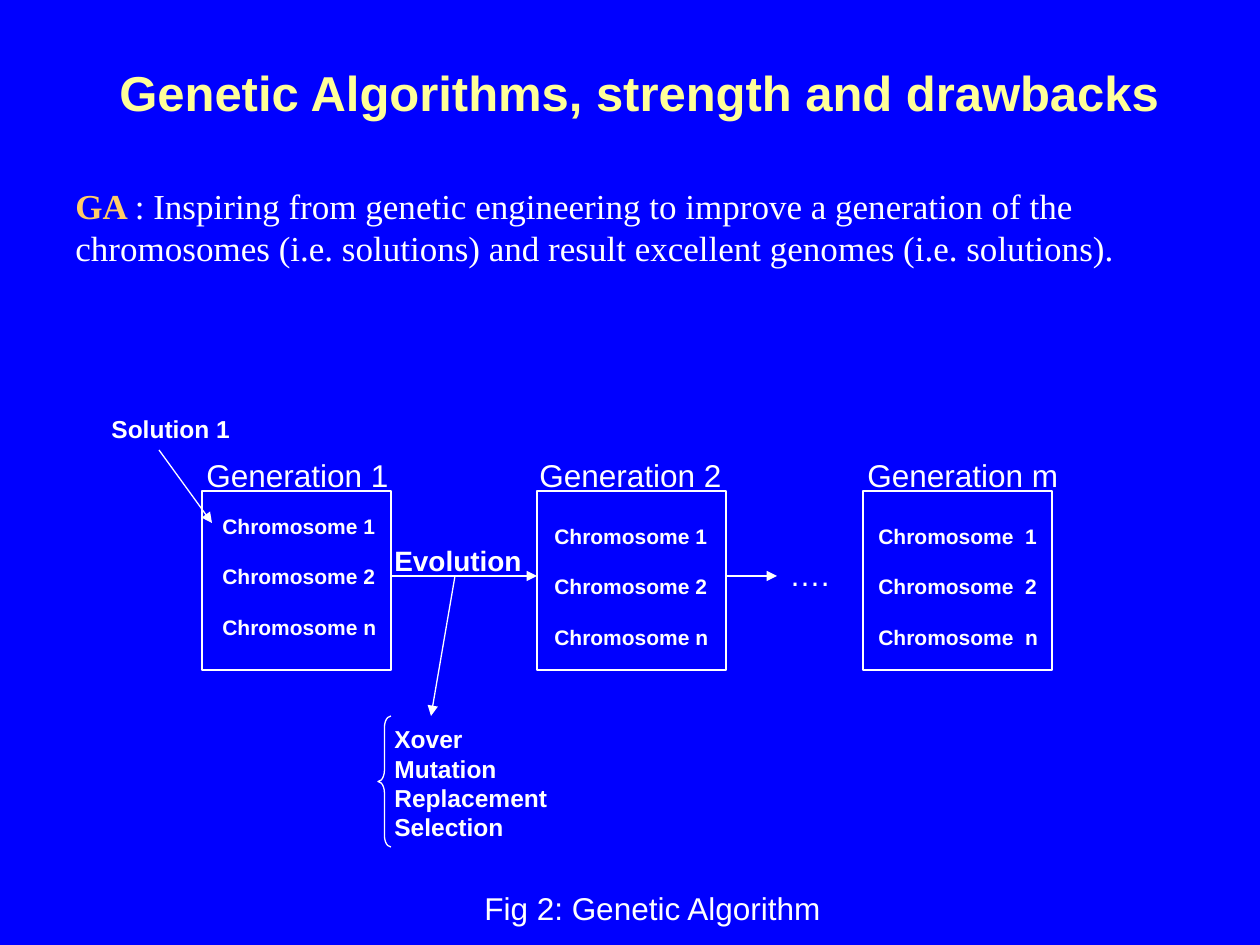
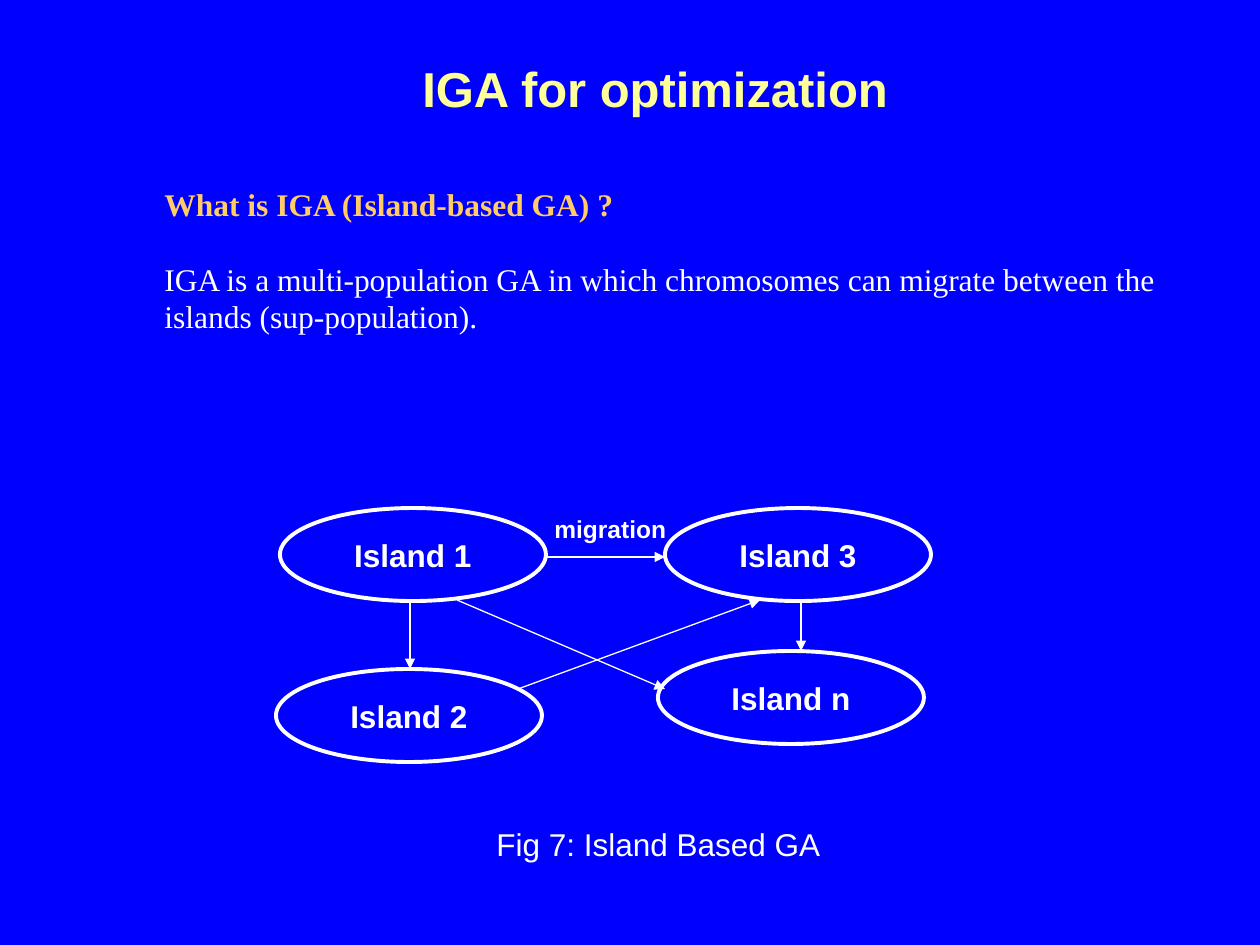
from collections import namedtuple

from lxml import etree
from pptx import Presentation
from pptx.dml.color import RGBColor
from pptx.enum.shapes import MSO_CONNECTOR, MSO_SHAPE
from pptx.enum.text import MSO_ANCHOR, PP_ALIGN
from pptx.oxml.ns import qn
from pptx.util import Pt

STRAIGHT = MSO_CONNECTOR.STRAIGHT
RECTANGLE = MSO_SHAPE.RECTANGLE
ELLIPSE = MSO_SHAPE.OVAL
LEFT_BRACE = MSO_SHAPE.LEFT_BRACE
MIDDLE = MSO_ANCHOR.MIDDLE
LEFT = PP_ALIGN.LEFT
CENTER = PP_ALIGN.CENTER

BLUE = RGBColor(0x00, 0x00, 0xFF)
WHITE = RGBColor(0xFF, 0xFF, 0xFF)
PALE_YELLOW = RGBColor(0xFF, 0xFF, 0x99)
ORANGE = RGBColor(0xFF, 0xCC, 0x66)

SANS = "Arial"
SERIF = "Times New Roman"
PX_PER_INCH = 126
EMU_PER_INCH = 914400
THIN = 0.75
THICK = 2.25

Box = namedtuple("Box", "left top width height")


def emu(px):
    return round(px * EMU_PER_INCH / PX_PER_INCH)


def inside(box, left, top, width, height):
    return Box(box.left + left, box.top + top, width, height)


def style_span(span, size, color=WHITE, bold=False, font=SANS):
    span.font.size = Pt(size)
    span.font.name = font
    span.font.bold = bold
    span.font.color.rgb = color


def add_text(page, box, lines, size, color=WHITE, bold=False, font=SANS, wrap=False, gap=0):
    frame = page.shapes.add_textbox(*map(emu, box)).text_frame
    frame.word_wrap = wrap
    frame.text = "\n".join(lines)
    for index, para in enumerate(frame.paragraphs):
        para.alignment = LEFT
        para.space_before = Pt(gap if index else 0)
        for span in para.runs:
            style_span(span, size, color, bold, font)
    return frame


def add_outline(page, kind, box, weight):
    shape = page.shapes.add_shape(kind, *map(emu, box))
    shape.shadow.inherit = False
    shape.fill.background()
    shape.line.color.rgb = WHITE
    shape.line.width = Pt(weight)
    return shape


def add_arrow(page, box, start, end):
    points = [emu(value) for x, y in (start, end) for value in (box.left + x, box.top + y)]
    arrow = page.shapes.add_connector(STRAIGHT, *points)
    arrow.line.color.rgb = WHITE
    arrow.line.width = Pt(THIN)
    etree.SubElement(arrow.line._get_or_add_ln(), qn("a:tailEnd"), type="triangle")
    etree.SubElement(arrow._element.spPr, qn("a:effectLst"))


def add_title(page, box, title):
    add_text(page, box, [title], 28, PALE_YELLOW, True)


def add_caption(page, box, caption):
    add_text(page, box, [caption], 18)


def add_generation(page, box, name, label_left, chromosomes, list_box):
    add_outline(page, RECTANGLE, box, THIN)
    add_text(page, inside(box, label_left, -41, 230, 50), [name], 18, wrap=True)
    add_text(page, inside(box, *list_box), chromosomes, 12, bold=True, gap=14.5)


def add_evolution(page, box):
    add_text(page, inside(box, 0, 0, 192, 44), ["Evolution"], 16, bold=True)
    add_arrow(page, box, (9, 39), (155, 39))
    add_arrow(page, box, (73, 39), (49, 179))
    brace = add_outline(page, LEFT_BRACE, inside(box, -4, 179, 13, 131), THIN)
    brace.adjustments[0] = 0.87
    operators = ["Xover", "Mutation", "Replacement", "Selection"]
    add_text(page, inside(box, 0, 181, 192, 130), operators, 14, bold=True)


def add_generation_diagram(page, box):
    generations = [
        ("1", 102, -8, " ", (8, 16, 179, 164)),
        ("2", 437, -10, " ", (5, 26, 179, 139)),
        ("m", 763, -8, "  ", (3, 26, 185, 139)),
    ]
    for number, left, label_left, space, list_box in generations:
        chromosomes = [f"Chromosome{space}{item}" for item in "12n"]
        frame_box = inside(box, left, 91, 189, 179)
        add_generation(page, frame_box, f"Generation {number}", label_left, chromosomes, list_box)
    add_text(page, inside(box, -1, 8, 144, 43), ["Solution 1"], 14, bold=True)
    add_arrow(page, box, (59, 50), (112, 123))
    add_evolution(page, inside(box, 282, 137, 192, 310))
    add_arrow(page, box, (625, 176), (677, 176))
    add_text(page, inside(box, 677, 149, 66, 50), ["…."], 18)


def add_island_diagram(page, box):
    islands = {"1": (4, 0), "2": (0, 161), "n": (382, 143), "3": (389, 0)}
    for number, (left, top) in islands.items():
        island = add_outline(page, ELLIPSE, inside(box, left, top, 266, 93), THICK)
        frame = island.text_frame
        frame.word_wrap = False
        frame.vertical_anchor = MIDDLE
        frame.text = f"Island {number}"
        para = frame.paragraphs[0]
        para.alignment = CENTER
        style_span(para.runs[0], 18, bold=True)
    migrations = [
        ((181, 92), (389, 181)),
        ((242, 181), (484, 92)),
        ((270, 49), (389, 49)),
        ((134, 92), (134, 161)),
        ((525, 92), (525, 143)),
    ]
    for start, end in migrations:
        add_arrow(page, box, start, end)
    add_text(page, inside(box, 266, 0, 137, 43), ["migration"], 14, bold=True)


def build_genetic_page(page, box):
    add_title(page, inside(box, 107, 56, 1080, 72), "Genetic Algorithms, strength and drawbacks")
    body = add_text(page, inside(box, 63, 178, 1103, 139), ["GA "], 20, ORANGE, True, SERIF, True)
    span = body.paragraphs[0].add_run()
    span.text = (
        ": Inspiring from genetic engineering to improve a generation of the chromosomes "
        "(i.e. solutions) and result excellent genomes (i.e. solutions)."
    )
    style_span(span, 20, font=SERIF)
    add_generation_diagram(page, inside(box, 100, 400, 970, 447))
    add_caption(page, inside(box, 472, 883, 363, 50), "Fig 2: Genetic Algorithm")


def build_island_page(page, box):
    add_title(page, inside(box, 410, 52, 493, 72), "IGA for optimization")
    lines = [
        "What is IGA (Island-based GA) ?",
        "IGA is a multi-population GA in which chromosomes can migrate between the "
        "islands (sup-population).",
    ]
    body_box = inside(box, 152, 179, 1026, 164)
    body = add_text(page, body_box, lines, 18, font=SERIF, wrap=True, gap=21)
    style_span(body.paragraphs[0].runs[0], 18, ORANGE, True, SERIF)
    add_island_diagram(page, inside(box, 276, 508, 655, 254))
    add_caption(page, inside(box, 484, 819, 349, 50), "Fig 7: Island Based GA")


def main():
    deck = Presentation()
    page_box = Box(0, 0, 1260, 945)
    deck.slide_width = emu(page_box.width)
    deck.slide_height = emu(page_box.height)
    background = deck.slide_master.background.fill
    background.solid()
    background.fore_color.rgb = BLUE
    blank = deck.slide_layouts[6]
    for build_page in (build_genetic_page, build_island_page):
        build_page(deck.slides.add_slide(blank), page_box)
    deck.save("out.pptx")


if __name__ == "__main__":
    main()
